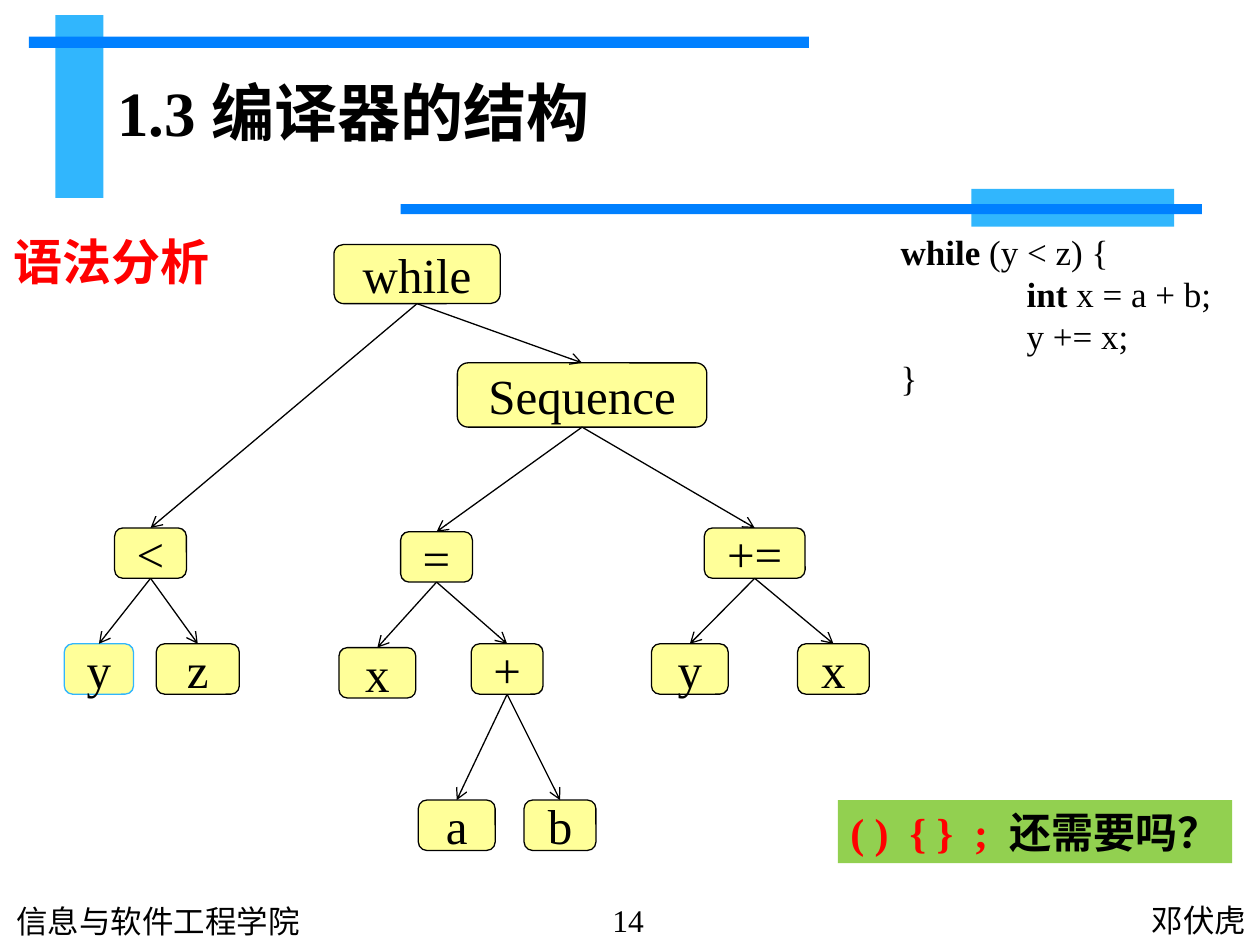
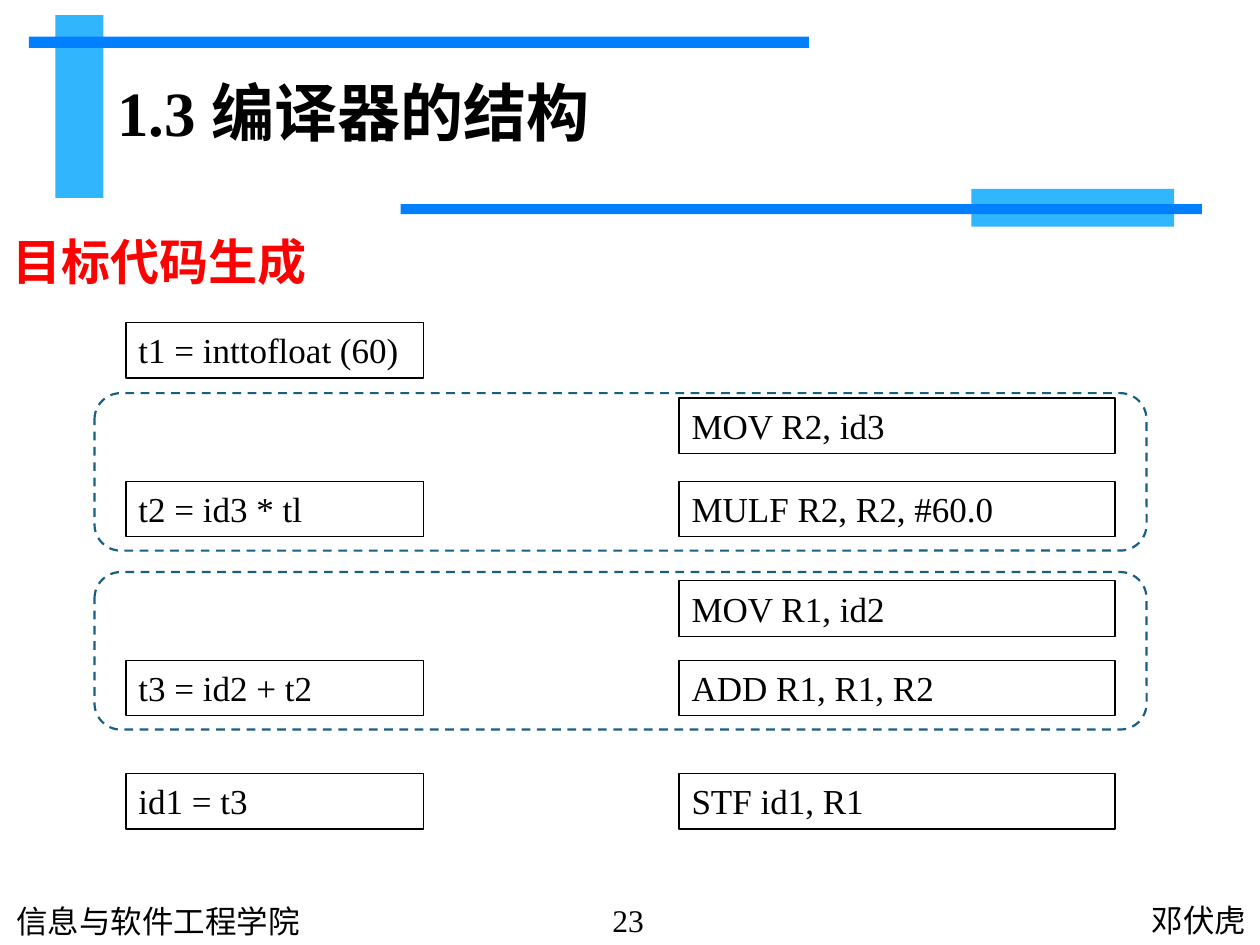
"""Build two compiler-structure slides: a syntax tree and target code generation."""
from lxml import etree
from pptx import Presentation
from pptx.dml.color import RGBColor
from pptx.enum.dml import MSO_LINE
from pptx.enum.shapes import MSO_CONNECTOR, MSO_SHAPE
from pptx.enum.text import MSO_ANCHOR, MSO_AUTO_SIZE, PP_ALIGN
from pptx.oxml.ns import qn
from pptx.util import Inches, Pt

RECT, ROUND = MSO_SHAPE.RECTANGLE, MSO_SHAPE.ROUNDED_RECTANGLE
LEFT, CENTER, RIGHT = PP_ALIGN.LEFT, PP_ALIGN.CENTER, PP_ALIGN.RIGHT
TOP, MIDDLE = MSO_ANCHOR.TOP, MSO_ANCHOR.MIDDLE
STRAIGHT, DASH, NO_FIT = MSO_CONNECTOR.STRAIGHT, MSO_LINE.DASH, MSO_AUTO_SIZE.NONE
BOTTOM_SITE, TOP_SITE = 2, 0

SERIF, SANS, CABIN = "Times New Roman", "Arial", "Cabin"
BLACK, RED, SKY, BLUE = "000000", "FF0000", "31B6FD", "0080FF"
YELLOW, GREEN, TEAL = "FFFF99", "92D050", "195F84"

BANDS = [
    ((0.44, 0.12, 0.38, 1.45), SKY),
    ((0.23, 0.29, 6.19, 0.09), BLUE),
    ((7.71, 1.5, 1.61, 0.3), SKY),
    ((3.18, 1.62, 6.36, 0.08), BLUE),
]
TITLE_AT = (0.83, 0.3, 7.46, 1.17)
TITLE = [("1.3 ", SERIF), ("编译器的结构", SANS)]
SCHOOL, LECTURER = "信息与软件工程学院", "邓伏虎"

TREE_NODES = {
    "while": ("while", 2.65, 1.94, 1.32, 0.47),
    "sequence": ("Sequence", 3.63, 2.88, 1.98, 0.51),
    "less": ("<", 0.91, 4.19, 0.57, 0.4),
    "less y": ("y", 0.51, 5.11, 0.55, 0.4),
    "less z": ("z", 1.24, 5.11, 0.66, 0.4),
    "assign": ("=", 3.18, 4.22, 0.57, 0.4),
    "assign x": ("x", 2.69, 5.14, 0.61, 0.4),
    "plus": ("+", 3.74, 5.11, 0.57, 0.4),
    "plus a": ("a", 3.32, 6.35, 0.61, 0.4),
    "plus b": ("b", 4.16, 6.35, 0.57, 0.4),
    "add": ("+=", 5.59, 4.19, 0.8, 0.4),
    "add y": ("y", 5.17, 5.11, 0.61, 0.4),
    "add x": ("x", 6.33, 5.11, 0.57, 0.4),
}
TREE_CHILDREN = {
    "while": ("less", "sequence"),
    "sequence": ("assign", "add"),
    "less": ("less y", "less z"),
    "assign": ("assign x", "plus"),
    "plus": ("plus a", "plus b"),
    "add": ("add y", "add x"),
}
HIGHLIGHTED_NODE = "less y"
LOOP_CODE = [
    (0, [("while", True), (" (y < z) {", False)]),
    (1, [("int", True), (" x = a + b;", False)]),
    (1, [("y += x;", False)]),
    (0, [("}", False)]),
]
QUESTION = [("( )  { }  ;  ", RED), ("还需要吗？", BLACK)]

CODE_ROWS = [
    (2.56, "t1 = inttofloat (60)", None),
    (3.16, None, "MOV R2, id3"),
    (3.82, "t2 = id3 * tl", "MULF R2, R2, #60.0"),
    (4.61, None, "MOV R1, id2"),
    (5.24, "t3 = id2 + t2", "ADD R1, R1, R2"),
    (6.14, "id1 = t3", "STF id1, R1"),
]
CODE_COLUMNS = [(1.0, 2.36), (5.39, 3.46)]
CODE_HEIGHT = 0.44
FRAME_TOPS = [3.12, 4.54]


def color(hex_text):
    return RGBColor.from_string(hex_text)


def add_run(paragraph, text, size, font=SERIF, ink=BLACK, bold=False):
    run = paragraph.add_run()
    run.text = text
    run.font.size, run.font.name, run.font.bold = Pt(size), font, bold
    run.font.color.rgb = color(ink)


def first_paragraph(shape, align=LEFT, anchor=TOP, wrap=True):
    frame = shape.text_frame
    frame.auto_size, frame.word_wrap, frame.vertical_anchor = NO_FIT, wrap, anchor
    paragraph = frame.paragraphs[0]
    paragraph.alignment = align
    paragraph.space_before = Pt(0)
    return paragraph


def place(shape, box):
    shape.left, shape.top, shape.width, shape.height = map(Inches, box)


def add_box(slide, box, kind=RECT, fill=None, line=None, weight=0.75):
    shape = slide.shapes.add_shape(kind, *map(Inches, box))
    shape.shadow.inherit = False
    if fill:
        shape.fill.solid()
        shape.fill.fore_color.rgb = color(fill)
    else:
        shape.fill.background()
    if line:
        shape.line.color.rgb = color(line)
        shape.line.width = Pt(weight)
    else:
        shape.line.fill.background()
    return shape


def add_label(slide, box, text, font, align):
    label = slide.shapes.add_textbox(*map(Inches, box))
    add_run(first_paragraph(label, align), text, 18, font)


def add_arrow(slide, parent, child):
    arrow = slide.shapes.add_connector(STRAIGHT, 0, 0, 0, 0)
    arrow.begin_connect(parent, BOTTOM_SITE)
    arrow.end_connect(child, TOP_SITE)
    arrow.line.color.rgb = color(BLACK)
    arrow.line.width = Pt(0.75)
    properties = arrow.element.spPr
    etree.SubElement(properties.find(qn("a:ln")), qn("a:tailEnd"), type="arrow")
    etree.SubElement(properties, qn("a:effectLst"))


def add_page(deck, heading, heading_box, number):
    slide = deck.slides.add_slide(deck.slide_layouts[1])
    for box, fill in BANDS:
        add_box(slide, box, fill=fill)

    title, body = slide.placeholders
    place(title, TITLE_AT)
    title_line = first_paragraph(title, anchor=MIDDLE)
    for text, font in TITLE:
        add_run(title_line, text, 36, font, bold=True)

    place(body, heading_box)
    heading_line = first_paragraph(body)
    bullet_properties = heading_line._p.get_or_add_pPr()
    bullet_properties.set("marL", "0")
    bullet_properties.set("indent", "0")
    etree.SubElement(bullet_properties, qn("a:buNone"))
    add_run(heading_line, heading, 28, CABIN, RED, True)

    add_label(slide, (5.85, 7.1, 4.14, 0.4), LECTURER, CABIN, RIGHT)
    add_label(slide, (0.03, 7.11, 4.14, 0.4), SCHOOL, CABIN, LEFT)
    add_label(slide, (4.35, 7.1, 1.27, 0.4), number, SERIF, CENTER)
    return slide


def build_syntax_tree(deck):
    slide = add_page(deck, "语法分析", (0.01, 1.79, 9.98, 1.5), "14")

    loop = slide.shapes.add_textbox(*map(Inches, (7.05, 1.78, 2.66, 1.45)))
    code_line = first_paragraph(loop, wrap=False)
    for index, (depth, parts) in enumerate(LOOP_CODE):
        if index:
            code_line = loop.text_frame.add_paragraph()
        code_line._p.get_or_add_pPr().set("marL", str(Inches(depth)))
        for text, bold in parts:
            add_run(code_line, text, 20, bold=bold)

    nodes = {}
    for key, (text, *box) in TREE_NODES.items():
        outline = SKY if key == HIGHLIGHTED_NODE else BLACK
        nodes[key] = add_box(slide, box, ROUND, YELLOW, outline)
        add_run(first_paragraph(nodes[key], CENTER, MIDDLE), text, 28)
    for parent, children in TREE_CHILDREN.items():
        for child in children:
            add_arrow(slide, nodes[parent], nodes[child])

    question = add_box(slide, (6.65, 6.35, 3.13, 0.5), fill=GREEN)
    question_line = first_paragraph(question, wrap=False)
    for text, ink in QUESTION:
        add_run(question_line, text, 24, ink=ink, bold=True)


def build_target_code(deck):
    slide = add_page(deck, "目标代码生成", (0, 1.79, 9.99, 4.91), "23")
    for top, *instructions in CODE_ROWS:
        for (left, width), instruction in zip(CODE_COLUMNS, instructions):
            if instruction:
                cell = add_box(slide, (left, top, width, CODE_HEIGHT), line=BLACK)
                add_run(first_paragraph(cell), instruction, 20)
    for top in FRAME_TOPS:
        frame = add_box(slide, (0.75, top, 8.35, 1.25), ROUND, line=TEAL, weight=1.25)
        frame.line.dash_style = DASH


def main():
    deck = Presentation()
    deck.slide_width, deck.slide_height = Inches(10), Inches(7.5)
    build_syntax_tree(deck)
    build_target_code(deck)
    deck.save("out.pptx")


if __name__ == "__main__":
    main()
